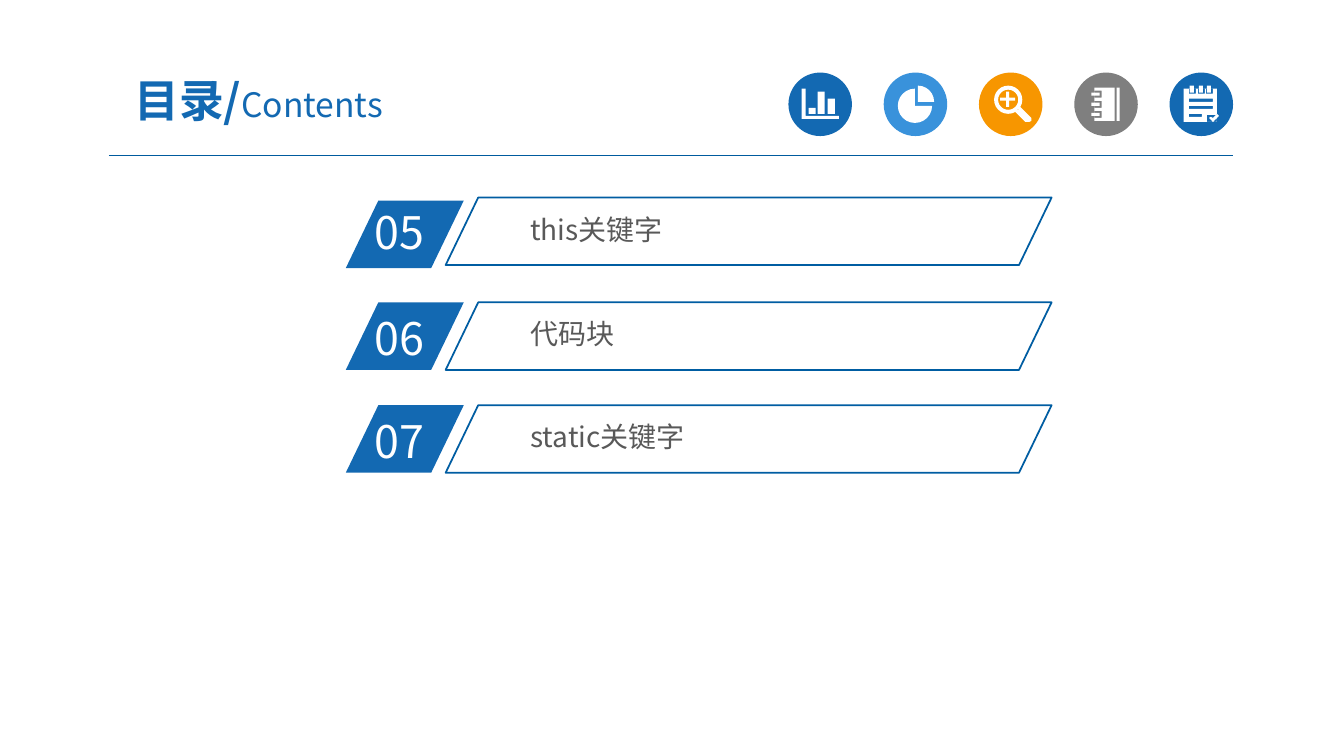
import math

from lxml import etree
from pptx import Presentation
from pptx.dml.color import RGBColor
from pptx.enum.shapes import MSO_CONNECTOR, MSO_SHAPE
from pptx.enum.text import MSO_ANCHOR, MSO_AUTO_SIZE, PP_ALIGN
from pptx.oxml.ns import qn
from pptx.util import Inches, Pt

FONT = "Noto Sans CJK SC"
C = {"blue": "1369B2", "sky": "3992DB", "orange": "F79600", "grey": "7F7F7F",
     "white": "FFFFFF", "text": "595959", "frame": "005DA2", "rule": "005B9E"}
OVAL, SLANT = MSO_SHAPE.OVAL, MSO_SHAPE.PARALLELOGRAM

prs = Presentation()
prs.slide_width, prs.slide_height = Inches(13.33), Inches(7.5)
s = prs.slides.add_slide(prs.slide_layouts[5])


def add_text(tf, text, size=20, color="text", bold=False, margins=(0.1, 0.05)):
    """Append a formatted run to the first paragraph of a text frame."""
    tf.word_wrap = True
    tf.margin_left = tf.margin_right = Inches(margins[0])
    tf.margin_top = tf.margin_bottom = Inches(margins[1])
    r = tf.paragraphs[0].add_run()
    r.text = text
    r.font.name, r.font.size, r.font.bold = FONT, Pt(size), bold
    r.font.color.rgb = RGBColor.from_string(C[color])
    etree.SubElement(r.font._element, qn("a:ea"), typeface=FONT)


def style_shape(sp, fill=None, line=None):
    sp.shadow.inherit = False
    if fill:
        sp.fill.solid()
        sp.fill.fore_color.rgb = RGBColor.from_string(C[fill])
    else:
        sp.fill.background()
    if line:
        sp.line.color.rgb = RGBColor.from_string(C[line])
        sp.line.width = Pt(1.25)
    else:
        sp.line.fill.background()


# Header
title = s.shapes.title
title.left, title.top = Inches(0.92), Inches(0.63)
title.width, title.height = Inches(3.29), Inches(0.72)
tf = title.text_frame
tf.auto_size = MSO_AUTO_SIZE.NONE
tf.vertical_anchor = MSO_ANCHOR.MIDDLE
tf.paragraphs[0].alignment = PP_ALIGN.CENTER
add_text(tf, "目录/", size=32, color="blue", bold=True, margins=(0.13, 0.07))
add_text(tf, "Contents", size=24, color="blue", margins=(0.13, 0.07))

rule = s.shapes.add_connector(MSO_CONNECTOR.STRAIGHT, Inches(1.08), Inches(1.54),
                              Inches(12.23), Inches(1.54))
rule.line.color.rgb = RGBColor.from_string(C["rule"])
rule.line.width = Pt(0.75)
etree.SubElement(rule._element.spPr, qn("a:effectLst"))

# Icon outlines, measured from the disc's corner: a tuple is a box (x, y, w, h),
# a list is a polygon; an outline inside another one cuts a hole.
# The unit circle runs clockwise from the right in steps of 15 degrees.
circle = [(math.cos(math.radians(a)), math.sin(math.radians(a))) for a in range(0, 360, 15)]

bar_chart = [[(0.13, 0.16), (0.17, 0.16), (0.17, 0.43), (0.5, 0.43), (0.5, 0.46), (0.13, 0.46)],
             (0.2, 0.35, 0.07, 0.06), (0.29, 0.19, 0.07, 0.22), (0.39, 0.26, 0.07, 0.15)]
pie_chart = [[(0.34, 0.29)] + [(0.34 + 0.16 * x, 0.29 + 0.16 * y)
                               for x, y in circle[18:] + circle[:1]],
             [(0.31, 0.33)] + [(0.31 + 0.17 * x, 0.33 + 0.17 * y) for x, y in circle[:19]]]
magnifier = [[(0.29 + radius * x, 0.27 + radius * y) for x, y in circle]
             for radius in (0.14, 0.1)]
magnifier += [[(0.21, 0.25), (0.27, 0.25), (0.27, 0.19), (0.3, 0.19), (0.3, 0.25), (0.36, 0.25),
               (0.36, 0.28), (0.3, 0.28), (0.3, 0.34), (0.27, 0.34), (0.27, 0.28), (0.21, 0.28)],
              [(0.36, 0.39), (0.41, 0.34), (0.52, 0.45), (0.52, 0.48), (0.5, 0.49), (0.46, 0.49)]]
notebook = [(0.2, 0.15, 0.2, 0.33), (0.42, 0.15, 0.03, 0.33)]
for y in (0.21, 0.31, 0.41):
    notebook += [(0.2, y - 0.03, 0.07, 0.07), (0.17, y - 0.01, 0.08, 0.03)]
notepad = [(0.14, 0.16, 0.33, 0.33), (0.37, 0.42, 0.1, 0.07),
           [(0.39, 0.45), (0.41, 0.44), (0.43, 0.45), (0.47, 0.41), (0.49, 0.43), (0.43, 0.49)]]
for x in (0.22, 0.31, 0.39):
    notepad += [(x - 0.03, 0.16, 0.07, 0.05), (x - 0.02, 0.13, 0.04, 0.07)]
for y, w in ((0.26, 0.24), (0.33, 0.24), (0.41, 0.13)):
    notepad.append((0.19, y, w, 0.03))

DISC_TOP, DISC_SIZE = 0.72, 0.63
icons = [("blue", bar_chart), ("sky", pie_chart), ("orange", magnifier),
         ("grey", notebook), ("blue", notepad)]
for i, (disc_color, outlines) in enumerate(icons):
    disc_left = 7.82 + 0.945 * i
    disc = s.shapes.add_shape(OVAL, Inches(disc_left), Inches(DISC_TOP),
                              Inches(DISC_SIZE), Inches(DISC_SIZE))
    style_shape(disc, fill=disc_color)
    builder = None
    for outline in outlines:
        if isinstance(outline, tuple):
            x, y, w, h = outline
            outline = [(x, y), (x + w, y), (x + w, y + h), (x, y + h)]
        points = [(Inches(disc_left + x), Inches(DISC_TOP + y)) for x, y in outline]
        if builder is None:
            builder = s.shapes.build_freeform(*points[0])
        else:
            builder.move_to(*points[0])
        builder.add_line_segments(points[1:], close=True)
    style_shape(builder.convert_to_shape(), fill="white")

# Contents rows: number, label, tops of badge, number, frame and label
rows = [("05", "this关键字", 1.99, 1.98, 1.96, 2.07),
        ("06", "代码块", 3.0, 3.03, 3.0, 3.1),
        ("07", "static关键字", 4.02, 4.06, 4.02, 4.12)]
for number, label, badge_top, number_top, frame_top, label_top in rows:
    for x, y, w, fill, line in ((3.43, badge_top, 1.17, "blue", None),
                                (4.42, frame_top, 6.01, None, "frame")):
        sp = s.shapes.add_shape(SLANT, Inches(x), Inches(y), Inches(w), Inches(0.67))
        sp.adjustments[0] = 0.482
        style_shape(sp, fill, line)
    tb = s.shapes.add_textbox(Inches(3.62), Inches(number_top), Inches(1.12), Inches(0.64))
    add_text(tb.text_frame, number, size=32, color="white")
    tb = s.shapes.add_textbox(Inches(5.19), Inches(label_top), Inches(5.01), Inches(0.43))
    add_text(tb.text_frame, label, margins=(0.07, 0.04))

prs.save("out.pptx")
